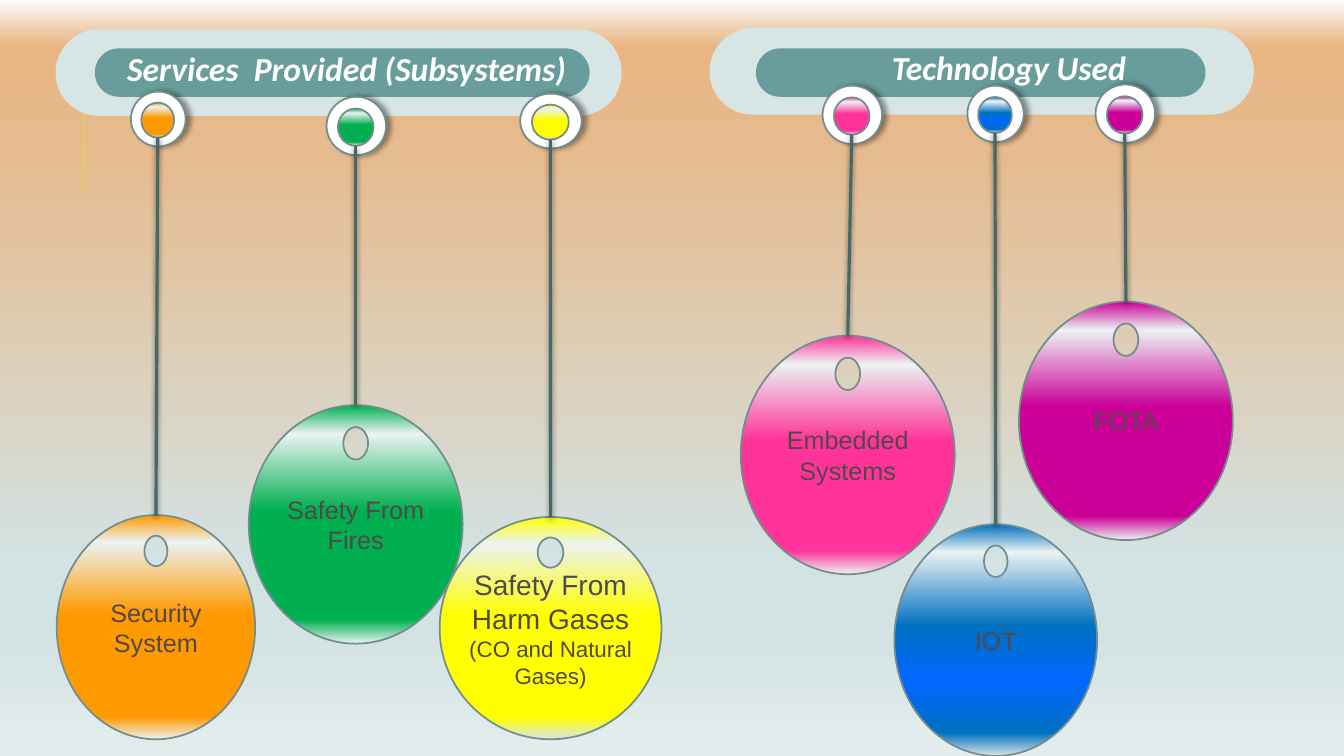
from lxml import etree
from pptx import Presentation
from pptx import util as u
from pptx.dml.color import RGBColor
from pptx.enum import shapes, text
from pptx.oxml.ns import qn

# Colours
WHITE = RGBColor(0xFF, 0xFF, 0xFF)
PALE = RGBColor(0xD8, 0xE5, 0xE5)
SHINE = RGBColor(0xEB, 0xF2, 0xF2)
TEAL = RGBColor(0x68, 0x9D, 0x9B)
EDGE = RGBColor(0x74, 0x8D, 0x8D)
CORD = RGBColor(0x45, 0x69, 0x68)
INK = RGBColor(0x51, 0x49, 0x49)
GOLD = RGBColor(0xE3, 0xCC, 0x5A)
GREEN = RGBColor(0x00, 0xB0, 0x50)
BLUE = RGBColor(0x00, 0x70, 0xC0)
BRIGHT_BLUE = RGBColor(0x00, 0x66, 0xFF)
ORANGE = RGBColor(0xFF, 0x99, 0x00)
PINK = RGBColor(0xFF, 0x33, 0x99)
YELLOW = RGBColor(0xFF, 0xFF, 0x00)
PURPLE = RGBColor(0xCC, 0x00, 0x99)

# Content: boxes are left, top, width, height in cm
BACKGROUND = [(0, "FAFCFC"), (6, "E9B683"), (21, "E6BB8F"), (30, "E3C29D"),
              (74, "D3E2E2"), (83, "D3E2E2"), (99, "E2ECEC")]
BARS = [
    ((1.4, 0.74, 14.27, 2.18), PALE),
    ((2.39, 1.22, 12.47, 1.22), TEAL),
    ((17.88, 0.71, 13.72, 2.18), PALE),
    ((19.05, 1.22, 11.33, 1.22), TEAL),
]
TITLES = [
    ("Services  Provided (Subsystems)", (2.92, 1.09, 11.63, 1.27)),
    ("Technology Used", (19.61, 1.07, 11.63, 1.27)),
]
# Text lines with sizes, disc box, ring box, colour, lower colour, base colour
PENDANTS = [
    ([("Safety From Fires", 18)], (6.27, 10.21, 5.39, 6.01),
     (8.23, 2.44, 1.5, 1.47), GREEN, GREEN, SHINE),
    ([("IOT", 18)], (22.54, 13.21, 5.11, 5.84),
     (24.38, 2.16, 1.42, 1.42), BLUE, BRIGHT_BLUE, PALE),
    ([("Security System", 18)], (1.43, 12.98, 5.0, 5.65),
     (3.3, 2.31, 1.38, 1.38), ORANGE, ORANGE, SHINE),
    ([("Embedded Systems", 18)], (18.67, 8.46, 5.39, 6.01),
     (20.73, 2.16, 1.5, 1.47), PINK, PINK, SHINE),
    ([("Safety From Harm Gases", 20), ("(CO and Natural Gases)", 16)],
     (11.08, 13.03, 5.59, 5.6),
     (13.11, 2.36, 1.55, 1.38), YELLOW, YELLOW, PALE),
    ([("FOTA", 18)], (25.68, 7.6, 5.39, 6.01),
     (27.61, 2.13, 1.5, 1.47), PURPLE, PURPLE, SHINE),
]
# Shadows: blur, distance (points), direction (degrees), opacity (%)
RING_SHADOW = (4, 3, 0, 40)
CORD_SHADOW = (4, 1, 90, 50)


def cm(box):
    return [u.Cm(v) for v in box]


def set_gradient(fill, owner, stops):
    fill.gradient()
    fill.gradient_angle = 270
    gs_list = owner.find(".//" + qn("a:gsLst"))
    for gs in list(gs_list):
        gs_list.remove(gs)
    for pos, color in stops:
        gs = etree.SubElement(gs_list, qn("a:gs"), pos=str(pos * 1000))
        etree.SubElement(gs, qn("a:srgbClr"), val=str(color))


def set_line(sp, color, width):
    sp.line.color.rgb = color
    sp.line.width = u.Pt(width)


def set_effect(sp, shadow=None):
    effects = etree.SubElement(sp._element.spPr, qn("a:effectLst"))
    if shadow:
        blur, dist, angle, alpha = shadow
        outer = etree.SubElement(
            effects, qn("a:outerShdw"), blurRad=str(u.Pt(blur)),
            dist=str(u.Pt(dist)), dir=str(angle * 60000), rotWithShape="0")
        clr = etree.SubElement(outer, qn("a:srgbClr"), val="000000")
        etree.SubElement(clr, qn("a:alpha"), val=str(alpha * 1000))


def add_paragraph(p, words, color, fmt):
    p.alignment = text.PP_ALIGN.CENTER
    r = p.add_run()
    r.text = words
    r.font.color.rgb = color
    for name, value in fmt.items():
        setattr(r.font, name, value)


def add_line(parent, x1, y1, x2, y2, color, width, shadow=None):
    line = parent.add_connector(shapes.MSO_CONNECTOR.STRAIGHT,
                                *cm((x1, y1, x2, y2)))
    set_line(line, color, width)
    set_effect(line, shadow)


def add_oval_outline(outline, cx, cy, rx, ry):
    """Append an oval to a freeform outline as two half arcs."""
    move = etree.SubElement(outline, qn("a:moveTo"))
    etree.SubElement(move, qn("a:pt"), x=str(int(cx - rx)), y=str(int(cy)))
    for start in (180, 0):
        etree.SubElement(outline, qn("a:arcTo"), wR=str(int(rx)),
                         hR=str(int(ry)), stAng=str(start * 60000),
                         swAng=str(180 * 60000))
    etree.SubElement(outline, qn("a:close"))


def add_disc(parent, box):
    x, y, w, h = cm(box)
    fb = parent.build_freeform(x, y)
    fb.add_line_segments([(x + w, y), (x + w, y + h), (x, y + h)], close=True)
    disc = fb.convert_to_shape()

    # Round rim with a punched hole near the top
    outline = disc._element.find(".//" + qn("a:pathLst"))[0]
    for step in list(outline):
        outline.remove(step)
    add_oval_outline(outline, w / 2, h / 2, w / 2, h / 2)
    add_oval_outline(outline, w / 2, 0.16 * h, 0.058 * w, 0.068 * h)
    return disc


def add_pendant(parent, lines, disc_box, ring_box, color, lower, base):
    stops = [(0, color), (12, SHINE), (44, color),
             (68, lower), (90, color), (100, base)]
    x, y, w, h = ring_box
    dot_box = (x + 0.19 * w, y + 0.2 * h, 0.6 * w, 0.64 * h)

    disc = add_disc(parent, disc_box)
    ring, dot = [parent.add_shape(shapes.MSO_SHAPE.OVAL, *cm(b))
                 for b in (ring_box, dot_box)]
    for sp in (disc, dot):
        set_gradient(sp.fill, sp._element, stops)
    ring.fill.solid()
    ring.fill.fore_color.rgb = WHITE
    for sp, shadow in ((disc, None), (ring, RING_SHADOW), (dot, None)):
        set_line(sp, EDGE, 1.25)
        set_effect(sp, shadow)

    tf = disc.text_frame
    tf.word_wrap = True
    tf.vertical_anchor = text.MSO_ANCHOR.MIDDLE
    for i, (words, size) in enumerate(lines):
        p = tf.add_paragraph() if i else tf.paragraphs[0]
        add_paragraph(p, words, INK, {"name": "Arial", "size": u.Pt(size)})

    # Cord from the bottom of the dot to the top of the disc
    add_line(parent, dot_box[0] + dot_box[2] / 2, dot_box[1] + dot_box[3],
             disc_box[0] + disc_box[2] / 2, disc_box[1],
             CORD, 2.25, CORD_SHADOW)


def main():
    prs = Presentation()
    prs.slide_width, prs.slide_height = u.Cm(33.87), u.Cm(19.05)
    s = prs.slides.add_slide(prs.slide_layouts[6])
    set_gradient(s.background.fill, s.element, BACKGROUND)

    # Side accent and header bars
    add_line(s.shapes, 2.11, 4.83, 2.11, 2.29, GOLD, 1.5)
    for box, color in BARS:
        bar = s.shapes.add_shape(shapes.MSO_SHAPE.ROUNDED_RECTANGLE, *cm(box))
        bar.adjustments[0] = 0.5
        bar.fill.solid()
        bar.fill.fore_color.rgb = color
        bar.line.fill.background()
        bar.shadow.inherit = False

    # Hanging discs
    for pendant in PENDANTS:
        add_pendant(s.shapes.add_group_shape().shapes, *pendant)

    # Header titles
    for words, box in TITLES:
        tf = s.shapes.add_textbox(*cm(box)).text_frame
        tf.word_wrap = True
        add_paragraph(tf.paragraphs[0], words, WHITE,
                      {"name": "Calibri", "size": u.Pt(24),
                       "bold": True, "italic": True})

    prs.save("out.pptx")


if __name__ == "__main__":
    main()
